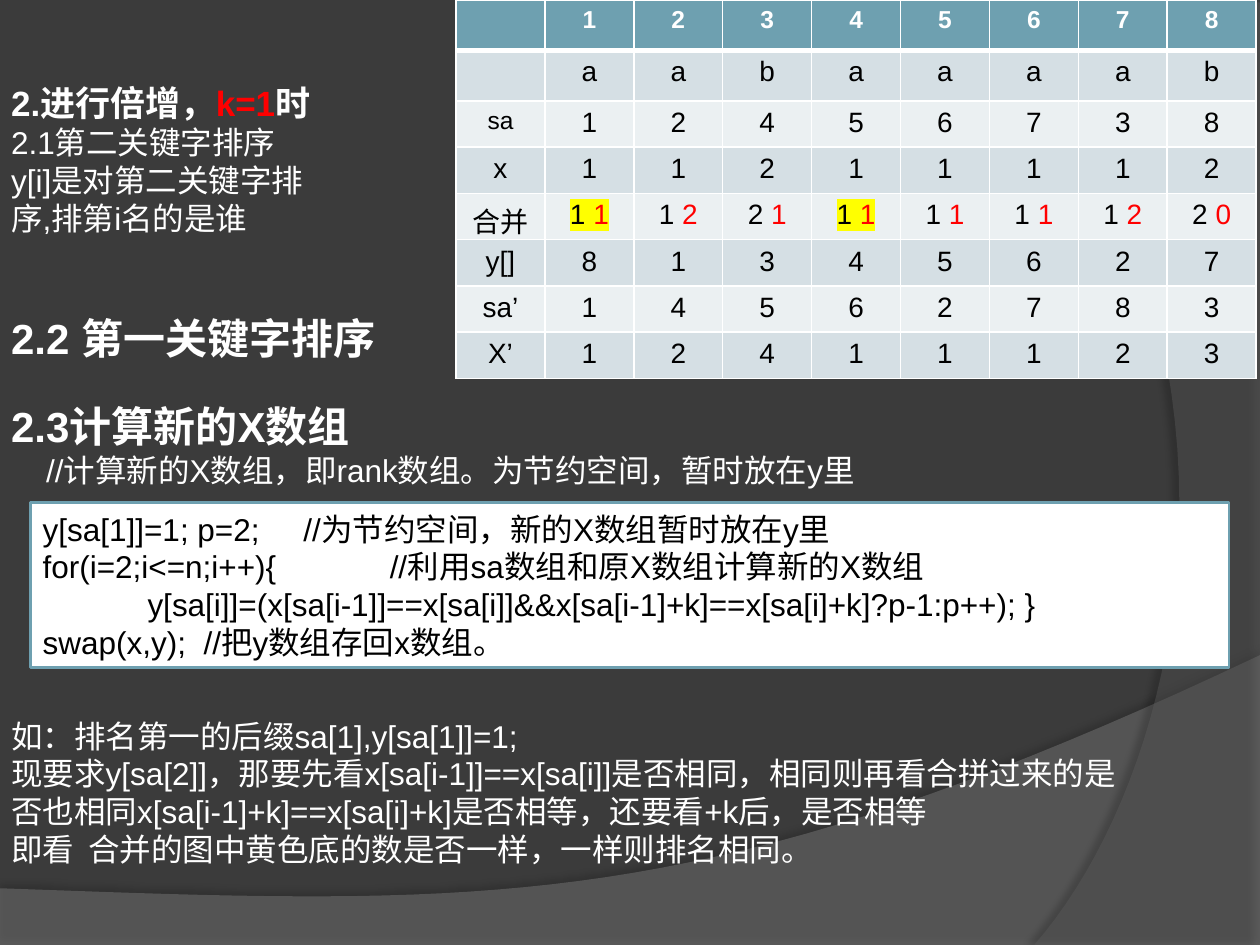
import pptx
import pptx.util
import pptx.dml.color
import pptx.enum.shapes
import pptx.enum.text
import pptx.oxml
import pptx.oxml.ns

Pt = pptx.util.Pt
COLORS = {
    "background": "3B3B3B", "wave": "7F7F7F", "arc": "5E5E5E", "accent": "6EA0B0",
    "band_dark": "D5DFE4", "band_light": "EBF0F2", "white": "FFFFFF",
    "black": "000000", "red": "FF0000", "yellow": "FFFF00",
}
FONT = "Arial"
WIDTH, HEIGHT = 720, 540

NOTES = [
    {"runs": [("2.进行倍增，", "white"), ("k=1", "red"), ("时", "white")], "size": 20, "bold": True},
    {"runs": [("2.1第二关键字排序", "white")]},
    {"runs": [("y[i]是对第二关键字排", "white")]},
    {"runs": [("序,排第i名的是谁", "white")]},
    {"runs": [("2.2 第一关键字排序", "white")], "size": 24, "bold": True, "before": 43.5},
    {"runs": [("2.3计算新的X数组", "white")], "size": 24, "bold": True, "before": 21.5},
    {"runs": [("//计算新的X数组，即rank数组。为节约空间，暂时放在y里", "white")], "indent": 20},
    {"runs": [("如：排名第一的后缀sa[1],y[sa[1]]=1;", "white")], "before": 130},
    {"runs": [("现要求y[sa[2]]，那要先看x[sa[i-1]]==x[sa[i]]是否相同，相同则再看合拼过来的"
               "是否也相同x[sa[i-1]+k]==x[sa[i]+k]是否相等，还要看+k后，是否相等", "white")]},
    {"runs": [("即看  合并的图中黄色底的数是否一样，一样则排名相同。", "white")]},
]
CODE = [
    "y[sa[1]]=1; p=2;     //为节约空间，新的X数组暂时放在y里",
    "for(i=2;i<=n;i++){             //利用sa数组和原X数组计算新的X数组",
    "            y[sa[i]]=(x[sa[i-1]]==x[sa[i]]&&x[sa[i-1]+k]==x[sa[i]+k]?p-1:p++); }",
    "swap(x,y);  //把y数组存回x数组。",
]
TABLE = [
    ["", "1", "2", "3", "4", "5", "6", "7", "8"],
    ["", "a", "a", "b", "a", "a", "a", "a", "b"],
    ["sa", "1", "2", "4", "5", "6", "7", "3", "8"],
    ["x", "1", "1", "2", "1", "1", "1", "1", "2"],
    ["合并", "1 1", "1 2", "2 1", "1 1", "1 1", "1 1", "1 2", "2 0"],
    ["y[]", "8", "1", "3", "4", "5", "6", "2", "7"],
    ["sa’", "1", "4", "5", "6", "2", "7", "8", "3"],
    ["X’", "1", "2", "4", "1", "1", "1", "2", "3"],
]
MERGED_ROW = 4
HIGHLIGHTED_COLUMNS = (1, 4)


def rgb(name):
    return pptx.dml.color.RGBColor.from_string(COLORS[name])


def xml(tag, attributes="", content=""):
    namespace = pptx.oxml.ns.nsdecls("a")
    return pptx.oxml.parse_xml(f"<a:{tag} {namespace} {attributes}>{content}</a:{tag}>")


def color_xml(name, children=""):
    return f'<a:srgbClr val="{COLORS[name]}">{children}</a:srgbClr>'


def alpha_xml(percent):
    return f'<a:alpha val="{percent * 1000}"/>'


def add_run(paragraph, text, color, size, bold=False, highlight=False):
    run = paragraph.add_run()
    run.text = text
    run.font.name = FONT
    run.font.size = Pt(size)
    run.font.bold = bold
    run.font.color.rgb = rgb(color)
    if highlight:
        fill = run._r.rPr.find(pptx.oxml.ns.qn("a:solidFill"))
        fill.addnext(xml("highlight", content=color_xml("yellow")))


def paragraph_at(frame, index):
    return frame.paragraphs[0] if index == 0 else frame.add_paragraph()


def curve(start, first, second, end, steps=40):
    points = []
    for step in range(1, steps + 1):
        t = step / steps
        weights = ((1 - t) ** 3, 3 * t * (1 - t) ** 2, 3 * t * t * (1 - t), t ** 3)
        points.append(tuple(
            sum(weight * point[axis] for weight, point in zip(weights, (start, first, second, end)))
            for axis in (0, 1)))
    return points


def add_swoosh(slide, points, color, opacity, shadow_opacity, distance, degrees):
    corners = [(Pt(x), Pt(y)) for x, y in points]
    builder = slide.shapes.build_freeform(*corners[0])
    builder.add_line_segments(corners[1:], close=True)
    shape = builder.convert_to_shape()
    shape.fill.solid()
    shape.fill.fore_color.rgb = rgb(color)
    properties = shape._element.spPr
    fill_color = properties.find(".//" + pptx.oxml.ns.qn("a:srgbClr"))
    fill_color.append(xml("alpha", f'val="{opacity * 1000}"'))
    shape.line.fill.background()
    shadow = (f'<a:outerShdw blurRad="{Pt(4)}" dist="{Pt(distance)}" dir="{degrees * 60000}">'
              f'{color_xml("black", alpha_xml(shadow_opacity))}</a:outerShdw>')
    properties.append(xml("effectLst", content=shadow))


def add_background(slide):
    slide.background.fill.solid()
    slide.background.fill.fore_color.rgb = rgb("background")
    wave = [(0, 507.6), (0, HEIGHT), (WIDTH, HEIGHT), (WIDTH, 374.4)]
    wave += curve(wave[-1], (402.5, 524.9), (281.5, 517.7), wave[0])
    add_swoosh(slide, wave, "wave", 45, 35, 3.5, 270)
    arc = [(WIDTH, 1.4), (WIDTH, HEIGHT), (591, HEIGHT)]
    arc += curve(arc[-1], (673.2, 445.7), (733, 216), (576, 0))
    add_swoosh(slide, arc, "arc", 40, 45, 4, 180)


def add_notes(slide):
    box = slide.shapes.add_textbox(Pt(-0.7), Pt(43), Pt(649.5), Pt(525.6))
    box.text_frame.word_wrap = True
    for index, note in enumerate(NOTES):
        paragraph = paragraph_at(box.text_frame, index)
        if "before" in note:
            paragraph.space_before = Pt(note["before"])
        if "indent" in note:
            paragraph._p.get_or_add_pPr().set("marL", str(Pt(note["indent"])))
        for text, color in note["runs"]:
            add_run(paragraph, text, color, note.get("size", 18), note.get("bold", False))


def add_code(slide):
    box = slide.shapes.add_shape(
        pptx.enum.shapes.MSO_SHAPE.RECTANGLE, Pt(17.3), Pt(287.2), Pt(685), Pt(94.3))
    box.shadow.inherit = False
    box.fill.solid()
    box.fill.fore_color.rgb = rgb("white")
    box.line.color.rgb = rgb("accent")
    box.line.width = Pt(1.5)
    frame = box.text_frame
    frame.word_wrap = True
    frame.vertical_anchor = pptx.enum.text.MSO_ANCHOR.MIDDLE
    for index, line in enumerate(CODE):
        paragraph = paragraph_at(frame, index)
        paragraph.alignment = pptx.enum.text.PP_ALIGN.LEFT
        add_run(paragraph, line, "black", 18)


def set_borders(cell, row):
    widths = {"lnL": 1, "lnR": 1, "lnT": 3 if row == 1 else 1, "lnB": 3 if row == 0 else 1}
    properties = cell._tc.get_or_add_tcPr()
    for position, (side, width) in enumerate(widths.items()):
        fill = f'<a:solidFill>{color_xml("white")}</a:solidFill>'
        properties.insert(position, xml(side, f'w="{Pt(width)}"', fill))


def add_suffix_table(slide):
    row_count, column_count = len(TABLE), len(TABLE[0])
    table = slide.shapes.add_table(
        row_count, column_count, Pt(260.6), Pt(0), Pt(457.2), Pt(211.2)).table
    table.first_row = False
    table.horz_banding = False
    for row, values in enumerate(TABLE):
        for column, text in enumerate(values):
            cell = table.cell(row, column)
            cell.fill.solid()
            band = "band_dark" if row % 2 else "band_light"
            cell.fill.fore_color.rgb = rgb("accent" if row == 0 else band)
            set_borders(cell, row)
            paragraph = cell.text_frame.paragraphs[0]
            paragraph.alignment = pptx.enum.text.PP_ALIGN.CENTER
            size = 14 if row == 0 or text == "sa" else 16
            if row == MERGED_ROW and column > 0:
                highlight = column in HIGHLIGHTED_COLUMNS
                add_run(paragraph, text[:2], "black", size, highlight=highlight)
                add_run(paragraph, text[2:], "red", size, highlight=highlight)
            elif text:
                add_run(paragraph, text, "black" if row else "white", size, bold=row == 0)


def main():
    presentation = pptx.Presentation()
    presentation.slide_width, presentation.slide_height = Pt(WIDTH), Pt(HEIGHT)
    slide = presentation.slides.add_slide(presentation.slide_layouts[6])
    add_background(slide)
    add_notes(slide)
    add_code(slide)
    add_suffix_table(slide)
    presentation.save("out.pptx")


if __name__ == "__main__":
    main()
